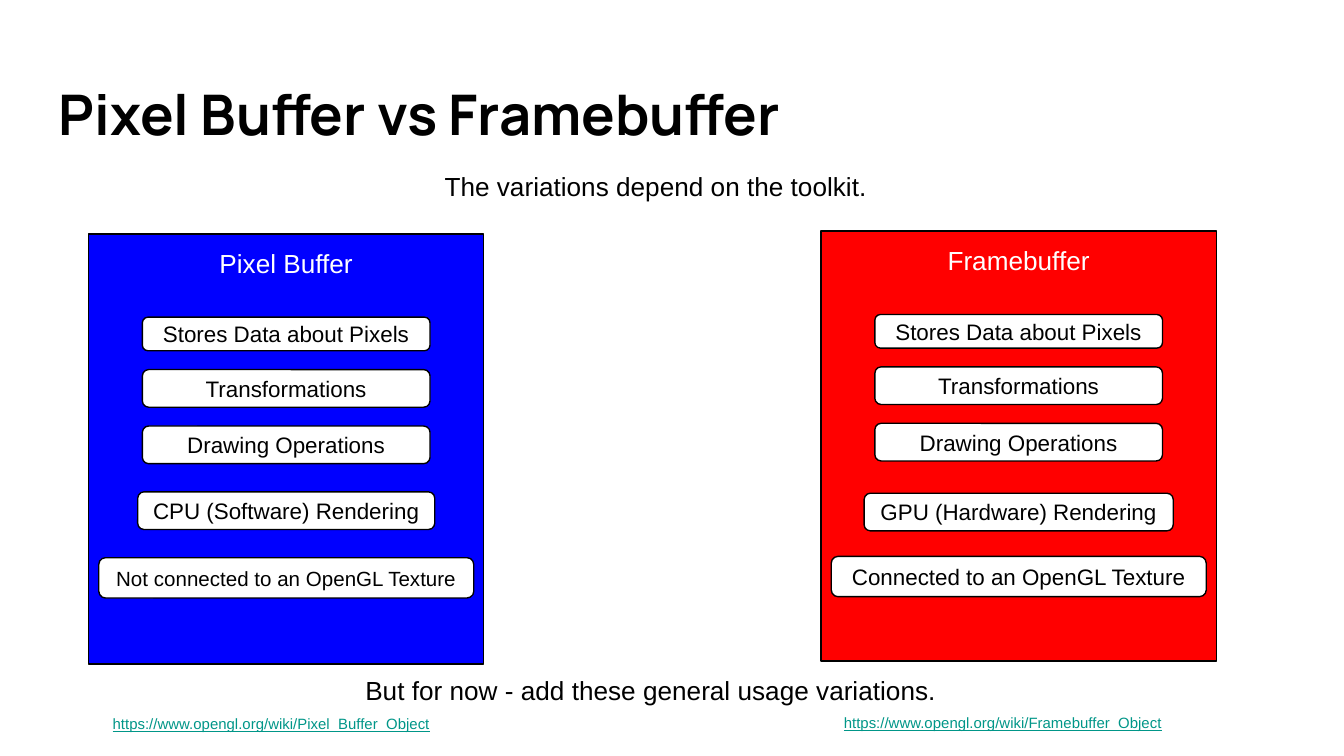
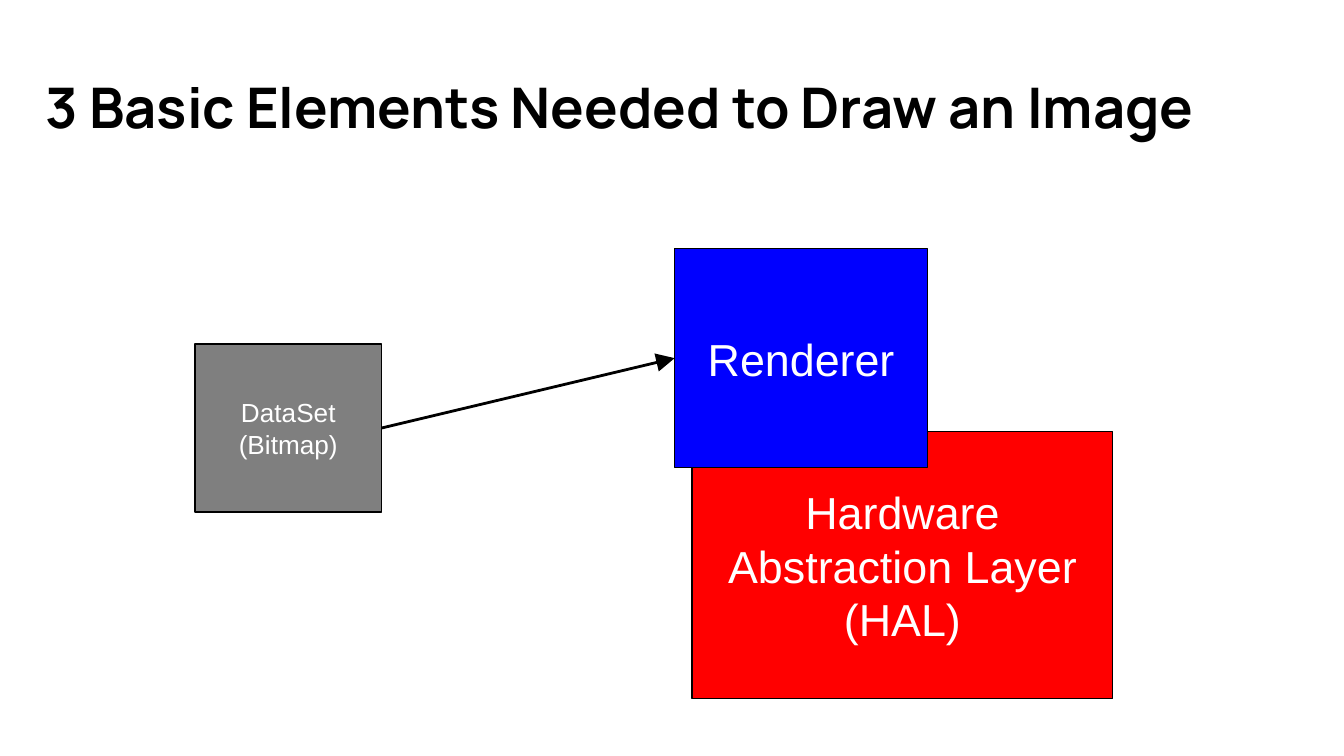
from dataclasses import dataclass

from lxml.etree import SubElement
from pptx import Presentation
from pptx.dml.color import RGBColor
from pptx.enum.shapes import MSO_CONNECTOR, MSO_SHAPE
from pptx.enum.text import MSO_ANCHOR, PP_ALIGN
from pptx.oxml.ns import qn
from pptx.util import Inches, Pt


@dataclass(frozen=True)
class Theme:
    black: RGBColor = RGBColor(0, 0, 0)
    white: RGBColor = RGBColor(255, 255, 255)
    blue: RGBColor = RGBColor(0, 0, 255)
    red: RGBColor = RGBColor(255, 0, 0)
    gray: RGBColor = RGBColor(0x7F, 0x7F, 0x7F)
    link: RGBColor = RGBColor(0, 0x96, 0x88)
    title_font: str = "Manrope"
    body_font: str = "Arial"
    title_size: int = 30
    large_size: int = 24
    body_size: int = 14
    label_size: int = 12
    small_label_size: int = 11
    link_size: int = 8
    outline: float = 0.75
    arrow: float = 1.5


THEME = Theme()
SLIDE_WIDTH = Inches(10)
SLIDE_HEIGHT = SLIDE_WIDTH * 9 // 16
PANEL_WIDTH, PANEL_HEIGHT = 2.94, 3.2


def write_text(shape, lines, size, color=THEME.black, align=PP_ALIGN.LEFT,
               anchor=MSO_ANCHOR.TOP, side_inset=0.1, **font_values):
    frame = shape.text_frame
    frame_values = {
        "word_wrap": True,
        "vertical_anchor": anchor,
        "margin_left": Inches(side_inset),
        "margin_right": Inches(side_inset),
        "margin_top": Inches(0.1),
        "margin_bottom": Inches(0.1),
    }
    for name, value in frame_values.items():
        setattr(frame, name, value)
    font_values = {"name": THEME.body_font, "size": Pt(size), **font_values}
    for index, line in enumerate(lines):
        paragraph = frame.add_paragraph() if index else frame.paragraphs[0]
        paragraph.alignment = align
        run = paragraph.add_run()
        run.text = line
        for name, value in font_values.items():
            setattr(run.font, name, value)
        run.font.color.rgb = color


def add_text(slide, box, text, size, **options):
    shape = slide.shapes.add_textbox(*map(Inches, box))
    write_text(shape, [text], size, **options)


def add_title(slide, left, top, text):
    add_text(slide, (left, top, 9.32, 0.68), text, THEME.title_size,
             name=THEME.title_font, bold=True)


def add_block(slide, box, lines, fill, size, color=THEME.white,
              kind=MSO_SHAPE.RECTANGLE, anchor=MSO_ANCHOR.MIDDLE, **options):
    shape = slide.shapes.add_shape(kind, *map(Inches, box))
    shape.shadow.inherit = False
    shape.fill.solid()
    shape.fill.fore_color.rgb = fill
    shape.line.color.rgb = THEME.black
    shape.line.width = Pt(THEME.outline)
    write_text(shape, lines, size, color, PP_ALIGN.CENTER, anchor, **options)
    return shape


def add_panel(slide, left, top, heading, fill, features):
    add_block(slide, (left, top, PANEL_WIDTH, PANEL_HEIGHT), [heading], fill,
              THEME.body_size, anchor=MSO_ANCHOR.TOP)
    for text, offset, width, height, size in features:
        box = (left + (PANEL_WIDTH - width) / 2, top + offset, width, height)
        add_block(slide, box, [text], THEME.white, size, THEME.black,
                  MSO_SHAPE.ROUNDED_RECTANGLE, side_inset=0.05)


def add_link_text(slide, box, text):
    add_text(slide, box, text, THEME.link_size, color=THEME.link,
             anchor=MSO_ANCHOR.MIDDLE, underline=True)


def add_arrow(slide, source, target):
    arrow = slide.shapes.add_connector(MSO_CONNECTOR.STRAIGHT, 0, 0, 0, 0)
    arrow.begin_connect(source, 3)
    arrow.end_connect(target, 1)
    arrow.line.color.rgb = THEME.black
    arrow.line.width = Pt(THEME.arrow)
    properties = arrow._element.spPr
    SubElement(properties.find(qn("a:ln")), qn("a:tailEnd"),
               type="triangle", w="lg", len="lg")
    SubElement(properties, qn("a:effectLst"))


def build_comparison(slide):
    label = THEME.label_size
    shared = [
        ("Stores Data about Pixels", 0.62, 2.14, 0.25, label),
        ("Transformations", 1.01, 2.14, 0.28, label),
        ("Drawing Operations", 1.43, 2.14, 0.28, label),
    ]
    pixel_features = shared + [
        ("CPU (Software) Rendering", 1.92, 2.21, 0.28, label),
        ("Not connected to an OpenGL Texture", 2.41, 2.79, 0.3,
         THEME.small_label_size),
    ]
    frame_features = shared + [
        ("GPU (Hardware) Rendering", 1.95, 2.3, 0.28, label),
        ("Connected to an OpenGL Texture", 2.42, 2.79, 0.3, label),
    ]
    add_title(slide, 0.34, 0.49, "Pixel Buffer vs Framebuffer")
    add_text(slide, (3.21, 1.17, 3.8, 0.35),
             "The variations depend on the toolkit.", THEME.body_size)
    add_panel(slide, 0.66, 1.74, "Pixel Buffer", THEME.blue, pixel_features)
    add_panel(slide, 6.11, 1.72, "Framebuffer", THEME.red, frame_features)
    add_text(slide, (2.62, 4.92, 5.44, 0.43),
             "But for now - add these general usage variations.",
             THEME.body_size)
    add_link_text(slide, (0.74, 5.17, 2.63, 0.43),
                  "https://www.opengl.org/wiki/Pixel_Buffer_Object")
    add_link_text(slide, (6.18, 5.12, 3.29, 0.51),
                  "https://www.opengl.org/wiki/Framebuffer_Object")


def build_elements(slide):
    add_title(slide, 0.24, 0.44, "3 Basic Elements Needed to Draw an Image")
    dataset = add_block(slide, (1.45, 2.56, 1.39, 1.25),
                        ["DataSet", "(Bitmap)"], THEME.gray, THEME.body_size)
    add_block(slide, (5.15, 3.21, 3.13, 1.99),
              ["Hardware Abstraction Layer", "(HAL)"], THEME.red,
              THEME.large_size)
    renderer = add_block(slide, (5.02, 1.85, 1.88, 1.63), ["Renderer"],
                         THEME.blue, THEME.large_size)
    add_arrow(slide, dataset, renderer)


def main():
    presentation = Presentation()
    presentation.slide_width = SLIDE_WIDTH
    presentation.slide_height = SLIDE_HEIGHT
    for build in (build_comparison, build_elements):
        build(presentation.slides.add_slide(presentation.slide_layouts[6]))
    presentation.save("out.pptx")


if __name__ == "__main__":
    main()
